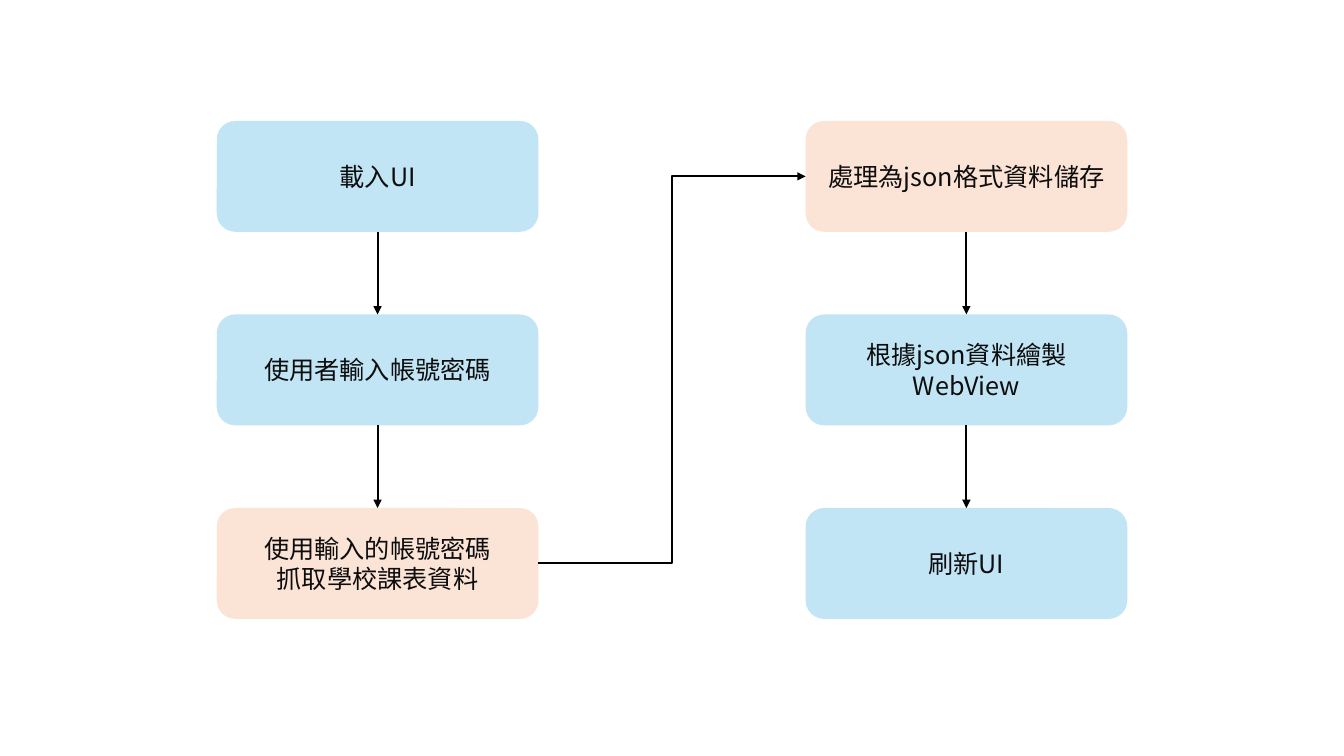
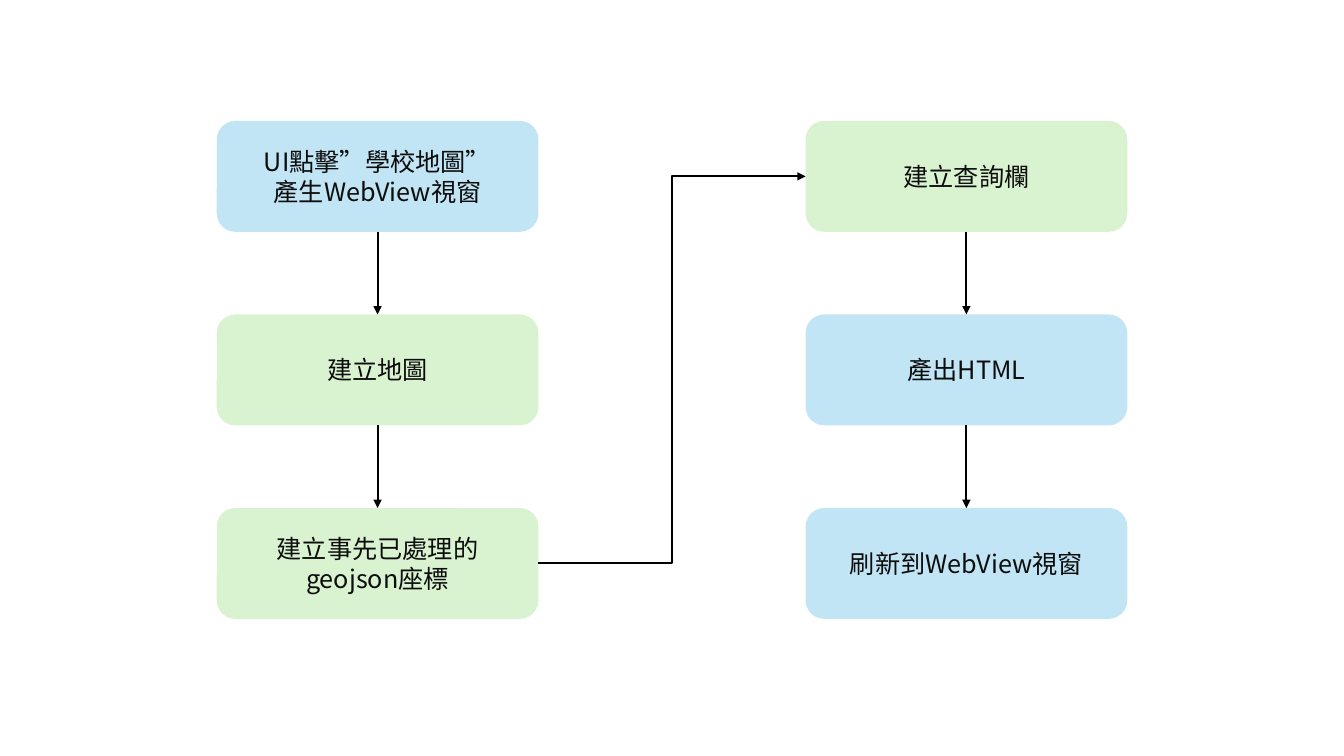
from lxml.etree import SubElement
from pptx import Presentation
from pptx.dml.color import RGBColor
from pptx.enum.shapes import MSO_CONNECTOR as LINK, MSO_SHAPE as SHAPE
from pptx.enum.text import MSO_ANCHOR, PP_ALIGN
from pptx.oxml.ns import qn
from pptx.util import Inches, Pt

COLORS = {
    "blue": "C1E5F5",
    "orange": "FBE3D6",
    "green": "D9F2D0",
    "text": "0D0D0D",
    "line": "000000",
}
FONT = "Noto Sans CJK JP"
BOX_WIDTH, BOX_HEIGHT = 3.19, 1.1
LEFT, TOP = 2.15, 1.2
COLUMN_STEP, ROW_STEP = 5.84, 1.92
ROWS = 3
TOP_SITE, LEFT_SITE, BOTTOM_SITE, RIGHT_SITE = range(4)

FLOWS = [
    [
        ("載入UI", "blue"),
        ("使用者輸入帳號密碼", "blue"),
        ("使用輸入的帳號密碼\n抓取學校課表資料", "orange"),
        ("處理為json格式資料儲存", "orange"),
        ("根據json資料繪製WebView", "blue"),
        ("刷新UI", "blue"),
    ],
    [
        ("UI點擊”學校地圖”\v產生WebView視窗", "blue"),
        ("建立地圖", "green"),
        ("建立事先已處理的geojson座標", "green"),
        ("建立查詢欄", "green"),
        ("產出HTML", "blue"),
        ("刷新到WebView視窗", "blue"),
    ],
]


def add_step(page, index, text, color):
    column, row = divmod(index, ROWS)
    box = page.shapes.add_shape(
        SHAPE.ROUNDED_RECTANGLE,
        Inches(LEFT + column * COLUMN_STEP),
        Inches(TOP + row * ROW_STEP),
        Inches(BOX_WIDTH),
        Inches(BOX_HEIGHT),
    )
    box.shadow.inherit = False
    box.fill.solid()
    box.fill.fore_color.rgb = RGBColor.from_string(COLORS[color])
    box.line.fill.background()
    frame = box.text_frame
    frame.word_wrap = True
    frame.vertical_anchor = MSO_ANCHOR.MIDDLE
    frame.text = text
    for para in frame.paragraphs:
        para.alignment = PP_ALIGN.CENTER
        for span in para.runs:
            span.font.size = Pt(18)
            span.font.name = FONT
            span.font.color.rgb = RGBColor.from_string(COLORS["text"])
            SubElement(span.font._element, qn("a:ea"), typeface=FONT)
    return box


def add_arrow(page, start, end, kind, start_site, end_site):
    arrow = page.shapes.add_connector(kind, 0, 0, 0, 0)
    arrow.begin_connect(start, start_site)
    arrow.end_connect(end, end_site)
    arrow.line.width = Pt(1.5)
    arrow.line.color.rgb = RGBColor.from_string(COLORS["line"])
    properties = arrow._element.spPr
    SubElement(properties.find(qn("a:ln")), qn("a:tailEnd"), type="triangle")
    SubElement(properties, qn("a:effectLst"))


deck = Presentation()
deck.slide_width, deck.slide_height = Inches(13.33), Inches(7.5)

for flow in FLOWS:
    page = deck.slides.add_slide(deck.slide_layouts[6])
    boxes = [add_step(page, index, *step) for index, step in enumerate(flow)]
    for index, (start, end) in enumerate(zip(boxes, boxes[1:]), 1):
        if index % ROWS:
            add_arrow(page, start, end, LINK.STRAIGHT, BOTTOM_SITE, TOP_SITE)
        else:
            add_arrow(page, start, end, LINK.ELBOW, RIGHT_SITE, LEFT_SITE)

deck.save("out.pptx")
